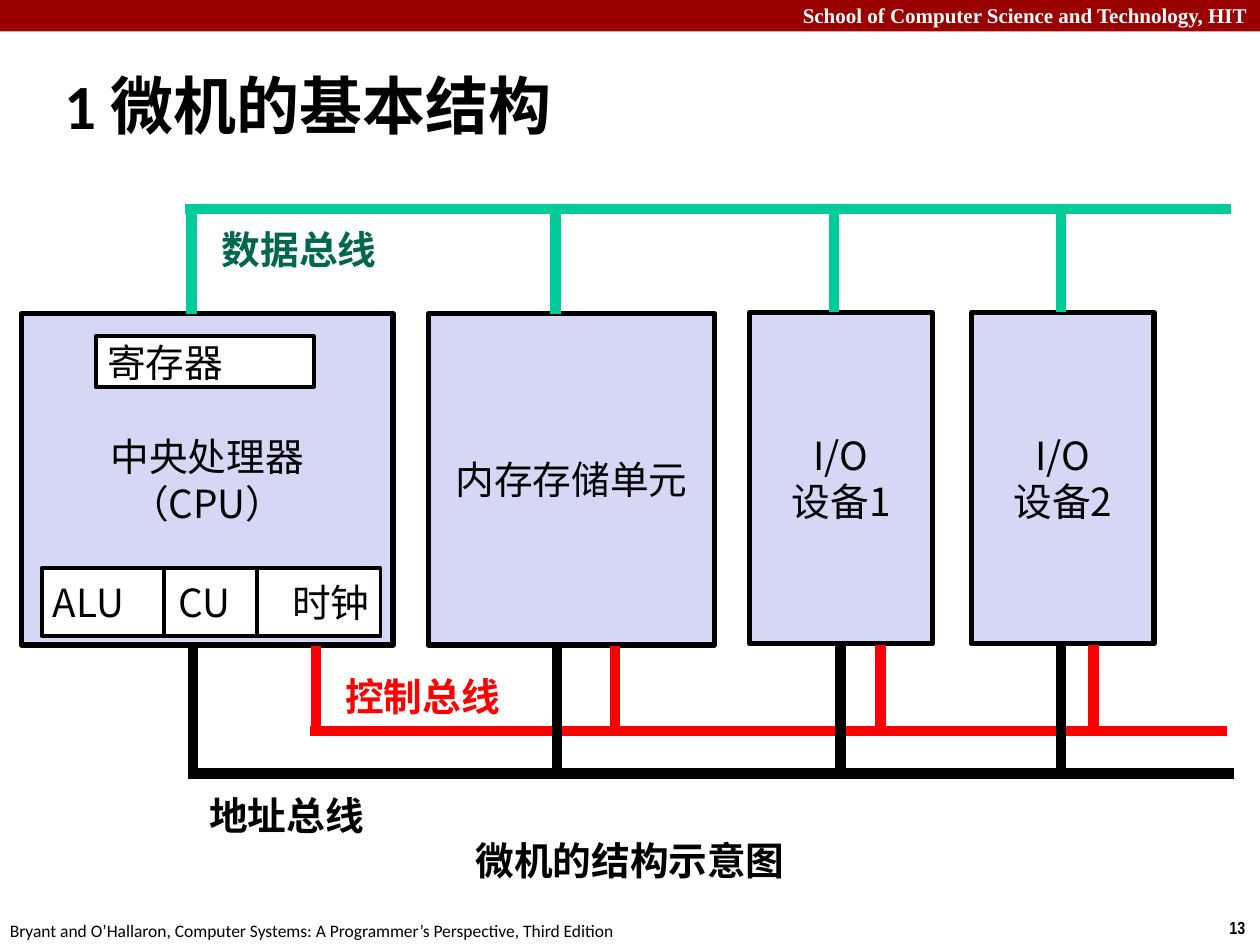
import pptx
import pptx.dml.color
import pptx.enum.shapes
import pptx.enum.text
import pptx.oxml.ns
import pptx.util
from lxml import etree

THEME = {
    "cjk": "Noto Sans CJK SC", "latin": "Calibri",
    "header": "Times New Roman", "number": "Arial Narrow",
    "banner": "990000", "paper": "FFFFFF", "ink": "000000", "box": "D6D6F5",
    "data": "00CC99", "data label": "00664D", "control": "FF0000",
    "title size": 36, "body size": 22.1, "header size": 12, "footer size": 10,
    "box line": 3, "part line": 2.25, "bus line": 6,
}
LEFT = pptx.enum.text.PP_ALIGN.LEFT
CENTER = pptx.enum.text.PP_ALIGN.CENTER
RIGHT = pptx.enum.text.PP_ALIGN.RIGHT
TOP = pptx.enum.text.MSO_ANCHOR.TOP
MIDDLE = pptx.enum.text.MSO_ANCHOR.MIDDLE
BOTTOM = pptx.enum.text.MSO_ANCHOR.BOTTOM

presentation = pptx.Presentation()
presentation.slide_width = pptx.util.Inches(10)
presentation.slide_height = pptx.util.Inches(7.5)
COLUMN = presentation.slide_width // 100
ROW = presentation.slide_height // 75
slide = presentation.slides.add_slide(presentation.slide_layouts[5])


def put(area, lines, fill=None, line=0, font="cjk", size="body size", color="ink",
        bold=False, align=LEFT, anchor=TOP, wrap=False, shape=None):
    """Place text lines in a rectangle, or in the given shape; area is in columns and rows."""
    left, top, width, height = area
    place = (round(left * COLUMN), round(top * ROW), round(width * COLUMN), round(height * ROW))
    if shape is None:
        shape = slide.shapes.add_shape(pptx.enum.shapes.MSO_SHAPE.RECTANGLE, *place)
        shape.shadow.inherit = False
        shape.fill.background()
        shape.line.fill.background()
    shape.left, shape.top, shape.width, shape.height = place
    if fill:
        shape.fill.solid()
        shape.fill.fore_color.rgb = pptx.dml.color.RGBColor.from_string(THEME[fill])
    if line:
        shape.line.color.rgb = pptx.dml.color.RGBColor.from_string(THEME["ink"])
        shape.line.width = pptx.util.Pt(THEME[line])
    frame = shape.text_frame
    frame.word_wrap = wrap
    frame.vertical_anchor = anchor
    frame.margin_left = frame.margin_right = pptx.util.Inches(0.1 if size != "body size" else 0.09)
    frame.margin_top = frame.margin_bottom = pptx.util.Inches(0.04)
    for index, words in enumerate(lines):
        paragraph = frame.paragraphs[0] if index == 0 else frame.add_paragraph()
        paragraph.alignment = align
        run = paragraph.add_run()
        run.text = words
        run.font.name = THEME[font]
        run.font.size = pptx.util.Pt(THEME[size])
        run.font.bold = bold
        run.font.color.rgb = pptx.dml.color.RGBColor.from_string(THEME[color])
        latin = run.font._element.find(pptx.oxml.ns.qn("a:latin"))
        east_asian = etree.Element(pptx.oxml.ns.qn("a:ea"), typeface=THEME["cjk"])
        latin.addnext(east_asian)
    return shape


def draw_line(start, end, color, width="bus line"):
    connector = slide.shapes.add_connector(
        pptx.enum.shapes.MSO_CONNECTOR.STRAIGHT,
        round(start[0] * COLUMN), round(start[1] * ROW),
        round(end[0] * COLUMN), round(end[1] * ROW))
    connector.line.color.rgb = pptx.dml.color.RGBColor.from_string(THEME[color])
    connector.line.width = pptx.util.Pt(THEME[width])
    etree.SubElement(connector._element.spPr, pptx.oxml.ns.qn("a:effectLst"))


# Banner, footer and title
put((0, 0, 100, 2.5), [], fill="banner")
put((0, -0.3, 100, 3), ["School of Computer Science and Technology, HIT"], font="header",
    size="header size", color="paper", bold=True, align=RIGHT, anchor=MIDDLE, wrap=True)
put((96.6, 72.3, 3.4, 2.7), ["13"], font="number", size="footer size", bold=True, anchor=MIDDLE)
put((-0.2, 72.5, 50.8, 2.7),
    ["Bryant and O’Hallaron, Computer Systems: A Programmer’s Perspective, Third Edition"],
    font="latin", size="footer size", anchor=MIDDLE)
put((4.1, 4.1, 95.8, 8.3), ["1 微机的基本结构"], font="latin", size="title size",
    bold=True, anchor=MIDDLE, wrap=True, shape=slide.shapes.title)

# Diagram panel with its caption
panel = put((0, 14.4, 100, 57.1), ["微机的结构示意图"], fill="paper", bold=True,
            align=CENTER, anchor=BOTTOM, wrap=True)
panel.text_frame.margin_bottom = pptx.util.Inches(0.14)

# Units: left, top, width, text, then columns of the data, address and control drops
BOX_HEIGHT = 26.3
units = [
    (1.7, 24.9, 29.5, ["中央处理器", "（CPU）"], 15.2, 15.3, 25.1),
    (34, 24.9, 22.7, ["内存存储单元"], 44.1, 44.2, 48.8),
    (59.5, 24.8, 14.5, ["I/O", "设备1"], 66.2, 66.7, 69.9),
    (77.1, 24.8, 14.5, ["I/O", "设备2"], 84.2, 84.2, 86.8),
]
for left, top, width, lines, *drops in units:
    put((left, top, width, BOX_HEIGHT), lines, fill="box", line="box line",
        align=CENTER, anchor=MIDDLE)

# Parts of the processor
put((7.6, 26.7, 17.3, 4), ["寄存器"], fill="paper", line="part line", anchor=MIDDLE)
parts = put((3.3, 45.1, 26.9, 5.4), ["ALU\tCU\t时钟"], fill="paper", line="part line",
            anchor=MIDDLE)
properties = parts.text_frame.paragraphs[0]._p.get_or_add_pPr()
tab_list = etree.SubElement(properties, pptx.oxml.ns.qn("a:tabLst"))
for stop in (10, 19):
    etree.SubElement(tab_list, pptx.oxml.ns.qn("a:tab"), pos=str(stop * COLUMN), algn="l")
for divider in (13, 20.4):
    draw_line((divider, 45.1), (divider, 50.5), "ink", "part line")

# Buses, then the drops that join each unit to them
for start, end, row, color in [(14.7, 97.7, 16.6, "data"), (14.9, 97.9, 61.4, "ink"),
                               (24.6, 97.4, 58, "control")]:
    draw_line((start, row), (end, row), color)
for left, top, width, lines, data, address, control in units:
    bottom = top + BOX_HEIGHT + 0.1
    draw_line((data, 16.4), (data, top), "data")
    draw_line((address, bottom), (address, 61.8), "ink")
    draw_line((control, bottom), (control, 57.8), "control")

for area, words, color in [((15.7, 62.4, 17.2, 4.5), "地址总线", "ink"),
                           ((26.5, 53, 15.1, 3.9), "控制总线", "control"),
                           ((16.7, 17.5, 16.2, 4.2), "数据总线", "data label")]:
    put(area, [words], fill="paper", color=color, bold=True)

presentation.save("out.pptx")
